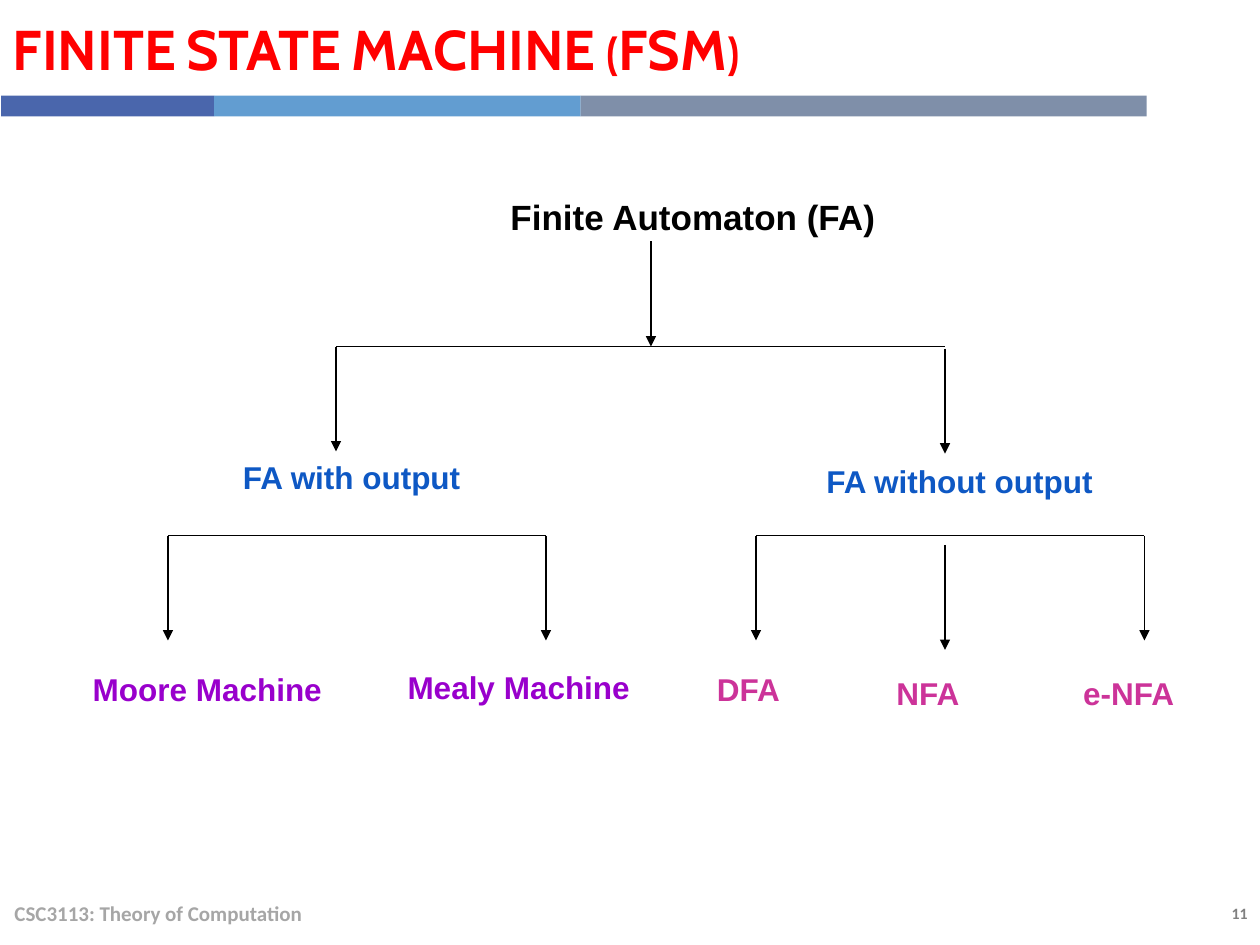
from lxml.etree import SubElement
from pptx import Presentation
from pptx.dml.color import RGBColor
from pptx.enum.shapes import MSO_CONNECTOR, MSO_SHAPE
from pptx.enum.text import MSO_ANCHOR, PP_ALIGN
from pptx.oxml.ns import qn
from pptx.util import Inches, Pt

BLACK = RGBColor(0x00, 0x00, 0x00)
RED = RGBColor(0xFF, 0x00, 0x00)
NAVY = RGBColor(0x4A, 0x66, 0xAC)
SKY = RGBColor(0x62, 0x9D, 0xD1)
SLATE = RGBColor(0x7F, 0x8F, 0xA9)
BLUE = RGBColor(0x0E, 0x58, 0xC4)
PURPLE = RGBColor(0x99, 0x00, 0xCC)
PINK = RGBColor(0xCC, 0x33, 0x99)
GREY = RGBColor(0x80, 0x80, 0x80)
PALE = RGBColor(0xA6, 0xA6, 0xA6)

# The slide is a grid of 120 columns and 90 rows.
prs = Presentation()
prs.slide_width, prs.slide_height = Inches(10), Inches(7.5)
UNIT = prs.slide_width / 120
slide = prs.slides.add_slide(prs.slide_layouts[5])
shapes = slide.shapes


def write(box, place, text, font, size, color, align, anchor=MSO_ANCHOR.TOP):
    """Place a text shape on the grid and give it one bold run."""
    box.left, box.top, box.width, box.height = [int(n * UNIT) for n in place]
    frame = box.text_frame
    frame.word_wrap = True
    frame.vertical_anchor = anchor
    para = frame.paragraphs[0]
    para.alignment = align
    run = para.add_run()
    run.text = text
    run.font.name, run.font.size, run.font.bold = font, Pt(size), True
    run.font.color.rgb = color
    return para


def draw(x1, y1, x2, y2, arrow=False):
    """Draw a thin black line between two grid points."""
    ends = [int(n * UNIT) for n in (x1, y1, x2, y2)]
    line = shapes.add_connector(MSO_CONNECTOR.STRAIGHT, *ends)
    line.line.color.rgb = BLACK
    line.line.width = Pt(0.75)
    if arrow:
        SubElement(line.line._get_or_add_ln(), qn("a:tailEnd"), type="triangle")
    SubElement(line._element.spPr, qn("a:effectLst"))


# Title and the band below it
head = write(shapes.title, (0, 0, 109.2, 9.1), "FINITE STATE MACHINE (FSM)",
             "Cabin", 32, RED, PP_ALIGN.LEFT, MSO_ANCHOR.MIDDLE)
head.space_before = Pt(6)
head.runs[0].font._element.set("cap", "small")

left = 0.1
for right, color in ((20.4, NAVY), (55.3, SKY), (109.2, SLATE)):
    bar = shapes.add_shape(MSO_SHAPE.RECTANGLE, int(left * UNIT), int(9.1 * UNIT),
                           int((right - left) * UNIT), int(2 * UNIT))
    bar.shadow.inherit = False
    bar.fill.solid()
    bar.fill.fore_color.rgb = color
    bar.line.fill.background()
    left = right

# Tree: level bars, then arrows that are all ten rows long
for x1, x2, y in ((32, 90, 33), (16, 52, 51), (72, 109, 51)):
    draw(x1, y, x2, y)
for x, y in ((62, 23), (32, 33), (90, 33.2),
             (16, 51), (52, 51), (72, 51), (90, 51.9), (109, 51)):
    draw(x, y, x, y + 10, arrow=True)

# Tree: labels as left, top, width, text, size, colour
labels = (
    (42, 18, 48, "Finite Automaton (FA)", 20, BLACK),
    (16, 43, 35, "FA with output", 18, BLUE),
    (71, 43.4, 40.8, "FA without output", 18, BLUE),
    (7, 63.2, 25.5, "Moore Machine", 18, PURPLE),
    (35.8, 63, 27.2, "Mealy Machine", 18, PURPLE),
    (67.1, 63.2, 13.2, "DFA\t", 18, PINK),
    (84.2, 63.6, 13.2, "NFA\t", 18, PINK),
    (99.7, 63.6, 15.6, "e-NFA", 18, PINK),
)
for x, y, wide, text, size, color in labels:
    write(shapes.add_textbox(0, 0, 0, 0), (x, y, wide, 4.8), text,
          "Arial", size, color, PP_ALIGN.CENTER)

# Footer
write(shapes.add_textbox(0, 0, 0, 0), (0.2, 84.6, 80.4, 4.8),
      "CSC3113: Theory of Computation", "Calibri", 12, PALE,
      PP_ALIGN.LEFT, MSO_ANCHOR.MIDDLE)
write(shapes.add_textbox(0, 0, 0, 0), (104.8, 85.5, 15.2, 3), "11",
      "Calibri", 9, GREY, PP_ALIGN.RIGHT)

prs.save("out.pptx")
